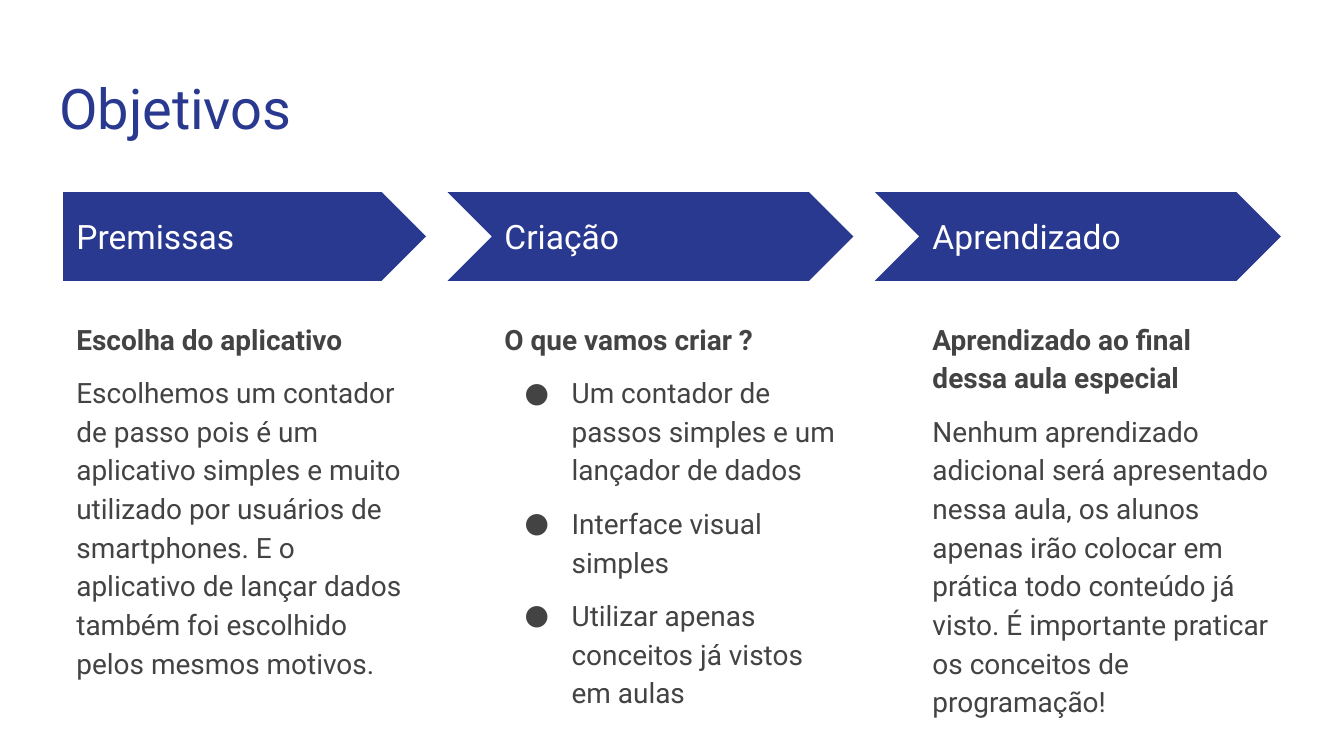
"""Build the "Objetivos" slide: three process arrows with a text column under each."""
from lxml import etree
from pptx import Presentation
from pptx import util as u
from pptx.dml.color import RGBColor
from pptx.enum import shapes, text
from pptx.oxml import ns

NAVY = RGBColor(0x2A, 0x39, 0x90)
WHITE = RGBColor(0xFF, 0xFF, 0xFF)
GREY = RGBColor(0x43, 0x43, 0x43)

FONT = "Roboto"
WIDTH = 10
HEIGHT = WIDTH * 9 / 16
LEFT, RIGHT, COLUMN = 0.47, 6.84, 2.7
PITCH = (RIGHT - LEFT) / 2
ARROW_LEFT, ARROW_PITCH, NOTCH = 0.15, 3.18, 0.32
ARROW_TOP, ARROW_HEIGHT = 1.43, 0.66
LABEL_TOP, LABEL_WIDTH, LABEL_HEIGHT = 1.59, 2.47, 0.34
BODY_TOP, BODY_HEIGHT = 2.26, 2.9


def write(box, lines, size, color, anchor=text.MSO_ANCHOR.TOP, spacing=1.0, heading=False, bullets=False):
    frame = box.text_frame
    frame.word_wrap = True
    frame.auto_size = text.MSO_AUTO_SIZE.NONE
    frame.vertical_anchor = anchor
    frame.margin_left = frame.margin_right = u.Inches(0.1)
    frame.margin_top = frame.margin_bottom = u.Inches(0.1)
    for index, line in enumerate(lines):
        para = frame.paragraphs[0] if index == 0 else frame.add_paragraph()
        para.alignment = text.PP_ALIGN.LEFT
        para.line_spacing = spacing
        para.space_before = u.Pt(8 if index else 0)
        para.space_after = u.Pt(8 if index and index == len(lines) - 1 else 0)
        span = para.add_run()
        span.text = line
        span.font.name = FONT
        span.font.size = u.Pt(size)
        span.font.bold = heading and index == 0
        span.font.color.rgb = color
        if bullets and index:
            properties = para._p.get_or_add_pPr()
            properties.set("marL", str(u.Inches(0.5)))
            properties.set("indent", str(u.Inches(-0.35)))
            etree.SubElement(properties, ns.qn("a:buFont")).set("typeface", FONT)
            etree.SubElement(properties, ns.qn("a:buChar")).set("char", "●")


deck = Presentation()
deck.slide_width, deck.slide_height = u.Inches(WIDTH), u.Inches(HEIGHT)
page = deck.slides.add_slide(deck.slide_layouts[5])

title = page.shapes.title
title.left, title.top = u.Inches(0.34), u.Inches(0.45)
title.width, title.height = u.Inches(9.32), u.Inches(0.66)
write(title, ["Objetivos"], 30, NAVY)

columns = [
    ("Premissas", [
        "Escolha do aplicativo",
        "Escolhemos um contador de passo pois é um aplicativo simples e muito utilizado por "
        "usuários de smartphones. E o aplicativo de lançar dados também foi escolhido pelos "
        "mesmos motivos.",
    ], False),
    ("Criação", [
        "O que vamos criar ?",
        "Um contador de passos simples e um lançador de dados",
        "Interface visual simples",
        "Utilizar apenas conceitos já vistos em aulas",
    ], True),
    ("Aprendizado", [
        "Aprendizado ao final dessa aula especial",
        "Nenhum aprendizado adicional será apresentado nessa aula, os alunos apenas irão "
        "colocar em prática todo conteúdo já visto. É importante praticar os conceitos de "
        "programação!",
    ], False),
]

for index, (label, lines, bullets) in enumerate(columns):
    left = LEFT + index * PITCH
    trim = 0 if index else NOTCH
    kind = shapes.MSO_SHAPE.CHEVRON if index else shapes.MSO_SHAPE.PENTAGON
    arrow = page.shapes.add_shape(kind, u.Inches(ARROW_LEFT + index * ARROW_PITCH + trim), u.Inches(ARROW_TOP),
                                  u.Inches(COLUMN + NOTCH - trim), u.Inches(ARROW_HEIGHT))
    arrow.adjustments[0] = 0.5
    arrow.shadow.inherit = False
    arrow.fill.solid()
    arrow.fill.fore_color.rgb = NAVY
    arrow.line.fill.background()

    box = page.shapes.add_textbox(u.Inches(left), u.Inches(LABEL_TOP),
                                  u.Inches(LABEL_WIDTH), u.Inches(LABEL_HEIGHT))
    write(box, [label], 18, WHITE, anchor=text.MSO_ANCHOR.MIDDLE)

    box = page.shapes.add_textbox(u.Inches(left), u.Inches(BODY_TOP),
                                  u.Inches(COLUMN), u.Inches(BODY_HEIGHT))
    write(box, lines, 15, GREY, spacing=1.15, heading=True, bullets=bullets)

deck.save("out.pptx")
